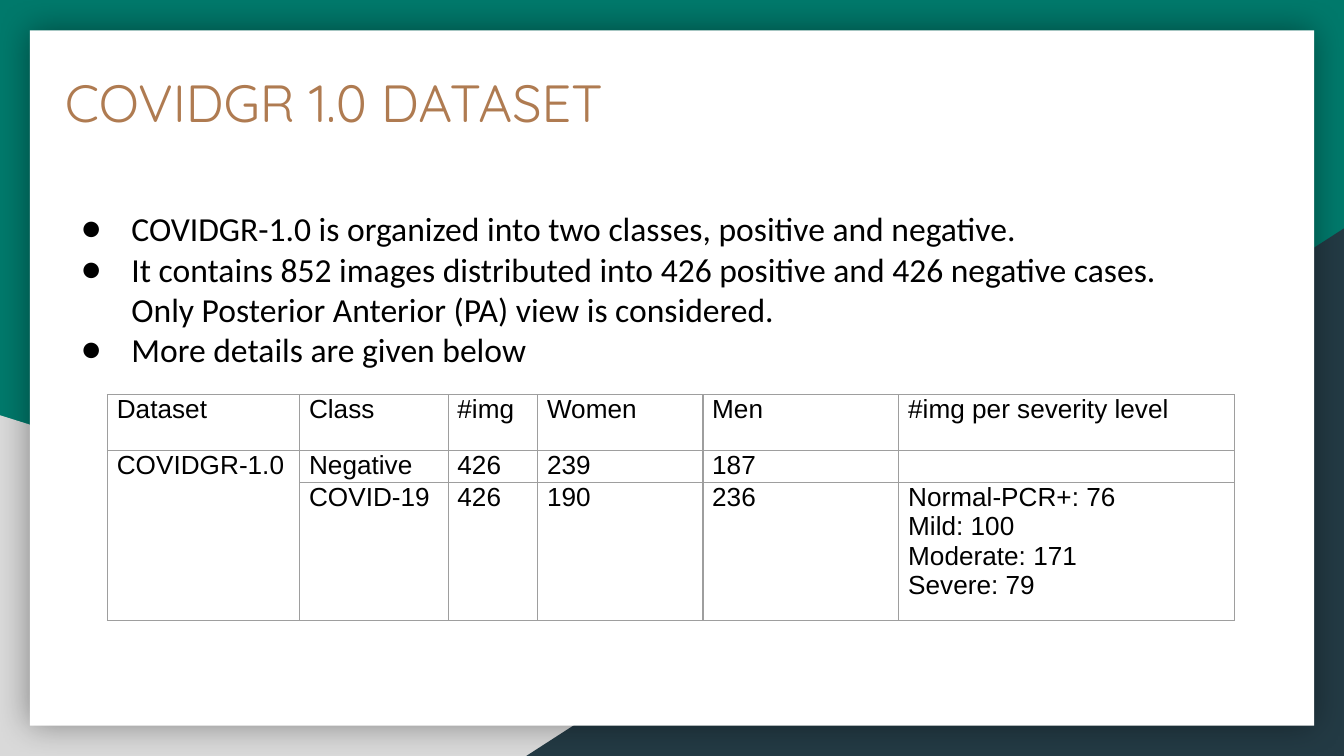
from lxml.etree import SubElement
from pptx import Presentation
from pptx.dml.color import RGBColor
from pptx.enum.shapes import MSO_SHAPE as Shape
from pptx.enum.text import MSO_ANCHOR as Anchor, MSO_AUTO_SIZE as AutoSize, PP_ALIGN as Align
from pptx.oxml.ns import qn
from pptx.util import Pt

BLACK = "000000"
BULLETS = [
    "COVIDGR-1.0 is organized into two classes, positive and negative.",
    "It contains 852 images distributed into 426 positive and 426 negative cases. "
    "Only Posterior Anterior (PA) view is considered.",
    "More details are given below",
]
COLUMN_WIDTHS = [103, 79.5, 48, 88.5, 105, 180]
ROW_HEIGHTS = [30, 16.5, 74]
SEVERITY = "Normal-PCR+: 76\nMild: 100\nModerate: 171\nSevere: 79"
ROWS = [
    ["Dataset", "Class", "#img", "Women", "Men", "#img per severity level"],
    ["COVIDGR-1.0", "Negative", "426", "239", "187", ""],
    ["", "COVID-19", "426", "190", "236", SEVERITY],
]


def paint(fill, color):
    fill.solid()
    fill.fore_color.rgb = RGBColor.from_string(color)


def add_run(para, text, font, size, color):
    span = para.add_run()
    span.text = text
    span.font.name = font
    span.font.size = Pt(size)
    span.font.color.rgb = RGBColor.from_string(color)


def add_panel(slide, kind, left, top, width, height, color):
    panel = slide.shapes.add_shape(kind, Pt(left), Pt(top), Pt(width), Pt(height))
    panel.shadow.inherit = False
    paint(panel.fill, color)
    panel.line.fill.background()
    return panel


def add_soft_shadow(panel):
    effects = panel._element.spPr.find(qn("a:effectLst"))
    shadow = SubElement(effects, qn("a:outerShdw"), blurRad=str(Pt(18)),
                        dist="0", dir="0", algn="ctr", rotWithShape="0")
    color = SubElement(shadow, qn("a:srgbClr"), val=BLACK)
    SubElement(color, qn("a:alpha"), val="40000")


def place_placeholder(slide, box, left, top, width, height):
    slide.shapes._spTree.append(box._element)  # bring in front of the panels
    box.left, box.top, box.width, box.height = Pt(left), Pt(top), Pt(width), Pt(height)
    frame = box.text_frame
    frame.margin_left = frame.margin_right = Pt(7.2)
    frame.margin_top = frame.margin_bottom = Pt(7.2)
    frame.vertical_anchor = Anchor.TOP
    frame.word_wrap = True
    frame.auto_size = AutoSize.NONE
    return frame


def fill_bullets(frame, items):
    for index, item in enumerate(items):
        para = frame.add_paragraph() if index else frame.paragraphs[0]
        para.alignment = Align.LEFT
        para.space_before = Pt(0)
        props = para._p.get_or_add_pPr()
        props.set("marL", str(Pt(36)))
        props.set("indent", str(Pt(-27)))
        color = SubElement(props, qn("a:buClr"))
        SubElement(color, qn("a:srgbClr"), val=BLACK)
        SubElement(props, qn("a:buFont"), typeface="Calibri")
        SubElement(props, qn("a:buChar"), char="●")
        add_run(para, item, "Calibri", 18, BLACK)


def add_borders(cell, color, width):
    props = cell._tc.get_or_add_tcPr()
    for position, side in enumerate(("a:lnL", "a:lnR", "a:lnT", "a:lnB")):
        line = props.makeelement(qn(side), {"w": str(Pt(width))})
        props.insert(position, line)
        fill = SubElement(line, qn("a:solidFill"))
        SubElement(fill, qn("a:srgbClr"), val=color)


def fill_cell(cell, text):
    cell.margin_left = cell.margin_right = Pt(5)
    cell.margin_top = cell.margin_bottom = Pt(0)
    cell.vertical_anchor = Anchor.TOP
    cell.fill.background()
    add_borders(cell, "9E9E9E", 0.75)
    frame = cell.text_frame
    for index, line in enumerate(text.split("\n")):
        para = frame.add_paragraph() if index else frame.paragraphs[0]
        if line:
            add_run(para, line, "Arial", 14, BLACK)
        else:  # keeps an empty cell from stretching its row
            SubElement(para._p, qn("a:endParaRPr"), sz="1400")


def add_data_table(slide, left, top):
    table = slide.shapes.add_table(
        len(ROWS), len(COLUMN_WIDTHS), Pt(left), Pt(top),
        Pt(sum(COLUMN_WIDTHS)), Pt(sum(ROW_HEIGHTS))).table
    table.first_row = table.horz_banding = False
    for column, width in zip(table.columns, COLUMN_WIDTHS):
        column.width = Pt(width)
    for row, height, texts in zip(table.rows, ROW_HEIGHTS, ROWS):
        row.height = Pt(height)
        for cell, text in zip(row.cells, texts):
            fill_cell(cell, text)
    table.cell(1, 0).merge(table.cell(2, 0))


def main():
    deck = Presentation()
    deck.slide_width, deck.slide_height = Pt(720), Pt(405)
    slide = deck.slides.add_slide(deck.slide_layouts[1])
    title, body = slide.placeholders

    # Backdrop and white card
    paint(slide.background.fill, "00796B")
    add_panel(slide, Shape.RIGHT_TRIANGLE, 0, 222.5, 580.5, 182.5, "D9D9D9")
    corner = add_panel(slide, Shape.RIGHT_TRIANGLE, 282, 122.4, 438, 282.6, "233A44")
    corner._element.spPr.xfrm.set("flipH", "1")
    card = add_panel(slide, Shape.RECTANGLE, 16, 16.25, 688, 372.5, "FFFFFF")
    add_soft_shadow(card)

    # Bullet list
    fill_bullets(place_placeholder(slide, body, 27.2, 104.4, 626.4, 101.5), BULLETS)

    # Title
    heading = place_placeholder(slide, title, 27.5, 30.5, 591, 59.5).paragraphs[0]
    heading.alignment = Align.LEFT
    add_run(heading, "COVIDGR 1.0 DATASET", "Quicksand", 28, "AF7B51")

    # Dataset details
    add_data_table(slide, 57.6, 211.5)

    deck.save("out.pptx")


if __name__ == "__main__":
    main()
